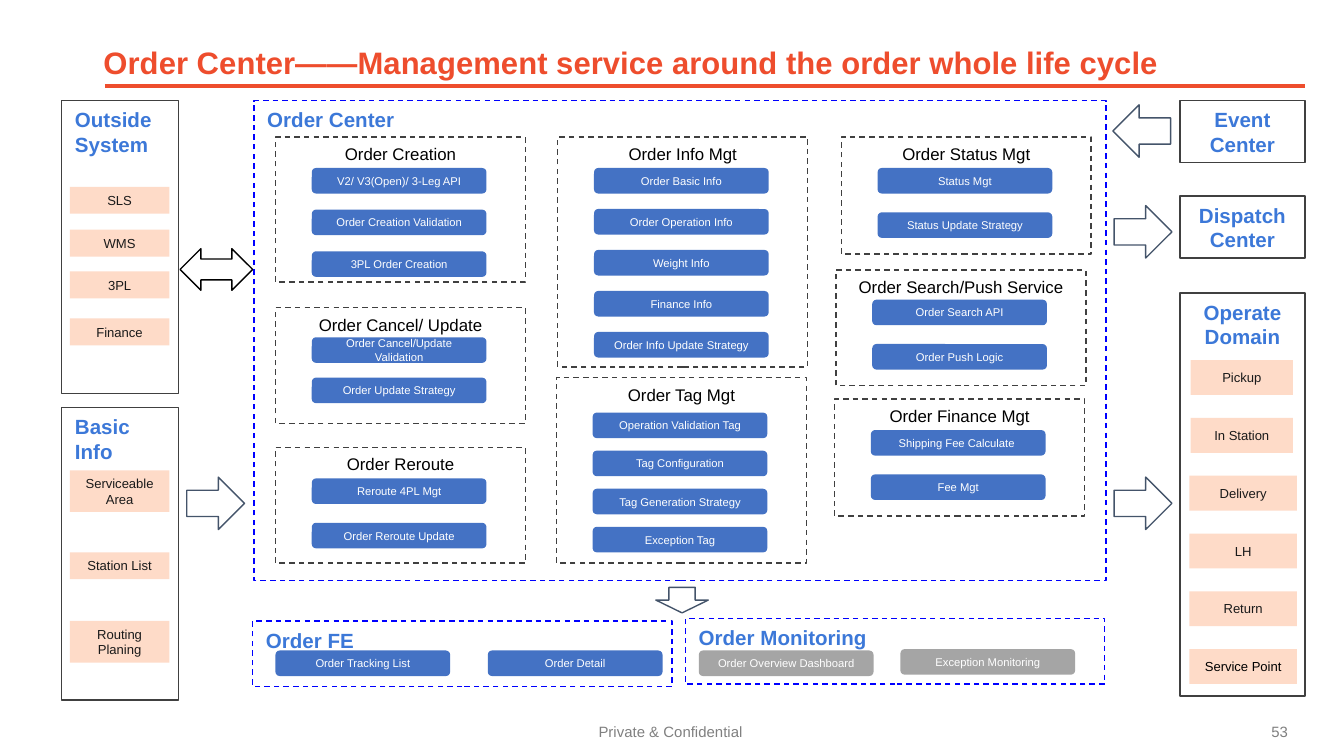
from pptx import Presentation
from pptx.dml.color import RGBColor
from pptx.enum.dml import MSO_LINE
from pptx.enum.shapes import MSO_CONNECTOR, MSO_SHAPE
from pptx.enum.text import MSO_ANCHOR, PP_ALIGN
from pptx.util import Inches, Pt
from lxml import etree

RECT, PILL = MSO_SHAPE.RECTANGLE, MSO_SHAPE.ROUNDED_RECTANGLE
DOWN, BOTH = MSO_SHAPE.DOWN_ARROW, MSO_SHAPE.LEFT_RIGHT_ARROW
LEFT, MID = PP_ALIGN.LEFT, PP_ALIGN.CENTER
TOP, CENTER, BASE = MSO_ANCHOR.TOP, MSO_ANCHOR.MIDDLE, MSO_ANCHOR.BOTTOM
DASH = MSO_LINE.DASH
FONT = "Arial"
COLORS = {
    "white": "FFFFFF", "black": "000000", "red": "EE4D2D", "frame": "0000FF",
    "edge": "404040", "head": "3C78D8", "pill": "4472C4", "gray": "A5A5A5",
    "chip": "FEDBC8", "ink": "1A1A1A", "arrow": "44546A",
    "foot": "808080", "page": "7F7F7F",
}
DRAW = "http://schemas.openxmlformats.org/drawingml/2006/main"


def color(name):
    return RGBColor.from_string(COLORS[name])


def write(item, text, size, ink, align=MID, anchor=CENTER, pad=(0.1, 0.05), bold=False):
    frame = item.text_frame
    frame.word_wrap = True
    frame.vertical_anchor = anchor
    frame.margin_left = frame.margin_right = Inches(pad[0])
    frame.margin_top = frame.margin_bottom = Inches(pad[1])
    para = frame.paragraphs[0]
    para.alignment = align
    run = para.add_run()
    run.text = text
    run.font.name, run.font.size, run.font.bold = FONT, Pt(size), bold
    run.font.color.rgb = color(ink)


def add_text(slide, box, *args, **style):
    write(slide.shapes.add_textbox(*map(Inches, box)), *args, **style)


def add_box(slide, kind, box, fill, line=None, dash=None):
    item = slide.shapes.add_shape(kind, *map(Inches, box))
    item.shadow.inherit = False
    item.fill.solid()
    item.fill.fore_color.rgb = color(fill)
    if line:
        item.line.color.rgb = color(line)
        item.line.width = Pt(0.75)
        if dash:
            item.line.dash_style = dash
    else:
        item.line.fill.background()
    return item


def add_pill(slide, x, y, text, fill="pill"):
    item = add_box(slide, PILL, (x, y, 1.3, 0.19), fill)
    item.adjustments[0] = 0.167
    write(item, text, 6, "white", pad=(0.1, 0.1))


def add_arrow(slide, kind, box, line="arrow", turn=0):
    item = add_box(slide, kind, box, "white", line)
    item.rotation = turn


def add_group(slide, box, title, first, last, names):
    """Dashed group with pills spread evenly from first to last offset."""
    x, y = box[:2]
    item = add_box(slide, RECT, box, "white", "edge", DASH)
    write(item, title, 9, "black", anchor=TOP)
    step = (last - first) / (len(names) - 1)
    for i, name in enumerate(names):
        add_pill(slide, x + 0.27, y + first + i * step, name)


def add_frame(slide, box, title, pills=(), fill="pill"):
    """Blue dashed frame; each pill is (x offset, y offset, text)."""
    item = add_box(slide, RECT, box, "white", "frame", DASH)
    write(item, title, 11, "head", LEFT, TOP, bold=True)
    for dx, dy, name in pills:
        add_pill(slide, box[0] + dx, box[1] + dy, name, fill)


def add_panel(slide, box, title, align=MID, chips=()):
    """Side panel; each chip is (x offset, y offset, width, height, text)."""
    item = add_box(slide, RECT, box, "white", "edge")
    write(item, title, 11, "head", align, TOP, bold=True)
    for dx, dy, w, h, name in chips:
        chip = add_box(slide, RECT, (box[0] + dx, box[1] + dy, w, h), "chip")
        write(chip, name, 7, "black" if name == "Service Point" else "ink")


def add_header(slide, box):
    x, y, w, h = box
    rule = slide.shapes.add_connector(
        MSO_CONNECTOR.STRAIGHT, Inches(x + 0.01), Inches(y + 0.5), Inches(x + w), Inches(y + 0.5))
    rule.line.color.rgb = color("red")
    rule.line.width = Pt(2)
    etree.SubElement(rule.element.spPr, f"{{{DRAW}}}effectLst")
    add_text(slide, (x, y, 7.95, h), "Order Center——Management service around the order whole life cycle",
             16.67, "red", LEFT, BASE, (0, 0), True)


def add_footer(slide, box):
    x, y, w, h = box
    add_text(slide, (x, y, 5.48, h), "Private & Confidential", 8, "foot", pad=(0.07, 0.07))
    add_text(slide, (x + w - 0.32, y + 0.03, 0.32, 0.31), "53", 8, "page", LEFT, pad=(0.08, 0.08))


def add_center(slide, box):
    add_frame(slide, box, "Order Center")
    groups = [
        # x offset, y offset, height, title, first pill, last pill, pills
        (0.16, 0.27, 1.08, "Order Creation", 0.23, 0.85,
         ["V2/ V3(Open)/ 3-Leg API", "Order Creation Validation", "3PL Order Creation"]),
        (0.16, 1.54, 0.86, "Order Cancel/ Update", 0.22, 0.52,
         ["Order Cancel/Update Validation", "Order Update Strategy"]),
        (0.16, 2.58, 0.86, "Order Reroute", 0.23, 0.56,
         ["Reroute 4PL Mgt", "Order Reroute Update"]),
        (2.26, 0.27, 1.71, "Order Info Mgt", 0.23, 1.45,
         ["Order Basic Info", "Order Operation Info", "Weight Info", "Finance Info",
          "Order Info Update Strategy"]),
        (2.25, 2.06, 1.38, "Order Tag Mgt", 0.26, 1.11,
         ["Operation Validation Tag", "Tag Configuration", "Tag Generation Strategy",
          "Exception Tag"]),
        (4.37, 0.27, 0.87, "Order Status Mgt", 0.23, 0.56,
         ["Status Mgt", "Status Update Strategy"]),
        (4.33, 1.26, 0.86, "Order Search/Push Service", 0.22, 0.55,
         ["Order Search API", "Order Push Logic"]),
        (4.32, 2.22, 0.87, "Order Finance Mgt", 0.23, 0.56,
         ["Shipping Fee Calculate ", "Fee Mgt"]),
    ]
    for dx, dy, h, *rest in groups:
        add_group(slide, (box[0] + dx, box[1] + dy, 1.86, h), *rest)


def add_left(slide, box):
    x, y, w, h = box
    tops = [(0.64, "SLS"), (0.96, "WMS"), (1.27, "3PL"), (1.62, "Finance")]
    add_panel(slide, (x, y, w, 2.18), "Outside System", LEFT,
              [(0.06, dy, 0.74, 0.2, name) for dy, name in tops])
    tops = [(0.47, 0.31, "Serviceable Area"), (1.08, 0.2, "Station List"),
            (1.59, 0.31, "Routing Planing")]
    add_panel(slide, (x, y + h - 2.18, w, 2.18), "Basic Info", LEFT,
              [(0.06, dy, 0.74, high, name) for dy, high, name in tops])


def add_right(slide, box):
    x, y, w, h = box
    add_panel(slide, (x, y, w, 0.46), "Event Center")
    add_panel(slide, (x, y + 0.71, w, 0.46), "Dispatch Center")
    names = ["Pickup", "In Station", "Delivery", "LH", "Return", "Service Point"]
    chips = [(0.08 if i < 2 else 0.07, 0.5 + 0.43 * i, 0.76 if i < 2 else 0.8, 0.26, name)
             for i, name in enumerate(names)]
    add_panel(slide, (x, y + h - 3, w, 3), "Operate Domain", chips=chips)


def add_flow(slide):
    add_arrow(slide, BOTH, (1.34, 1.85, 0.54, 0.31), "black")
    add_arrow(slide, DOWN, (4.88, 4.37, 0.39, 0.19))
    for x, y, turn in [(8.3, 0.76, 90), (8.31, 1.51, 270), (8.31, 3.53, 270), (1.41, 3.53, 270)]:
        add_arrow(slide, DOWN, (x, y, 0.39, 0.43), turn=turn)


def main():
    deck = Presentation()
    # Widescreen, 16 to 9
    deck.slide_width, deck.slide_height = Inches(10), Inches(10 * 9 / 16)
    slide = deck.slides.add_slide(deck.slide_layouts[6])
    # Title and footer
    add_header(slide, (0.77, 0.14, 8.94, 0.46))
    add_footer(slide, (2.25, 5.26, 7.45, 0.36))
    # Main area and the two frames below it
    add_center(slide, (1.89, 0.75, 6.34, 3.57))
    add_frame(slide, (1.88, 4.62, 3.12, 0.49), "Order FE",
              [(0.17, 0.22, "Order Tracking List"), (1.75, 0.22, "Order Detail")])
    add_frame(slide, (5.1, 4.6, 3.12, 0.49), "Order Monitoring",
              [(0.1, 0.24, "Order Overview Dashboard"), (1.6, 0.23, "Exception Monitoring")], "gray")
    # Side panels and arrows
    add_left(slide, (0.46, 0.75, 0.87, 4.46))
    add_right(slide, (8.78, 0.75, 0.93, 4.43))
    add_flow(slide)
    deck.save("out.pptx")


if __name__ == "__main__":
    main()
